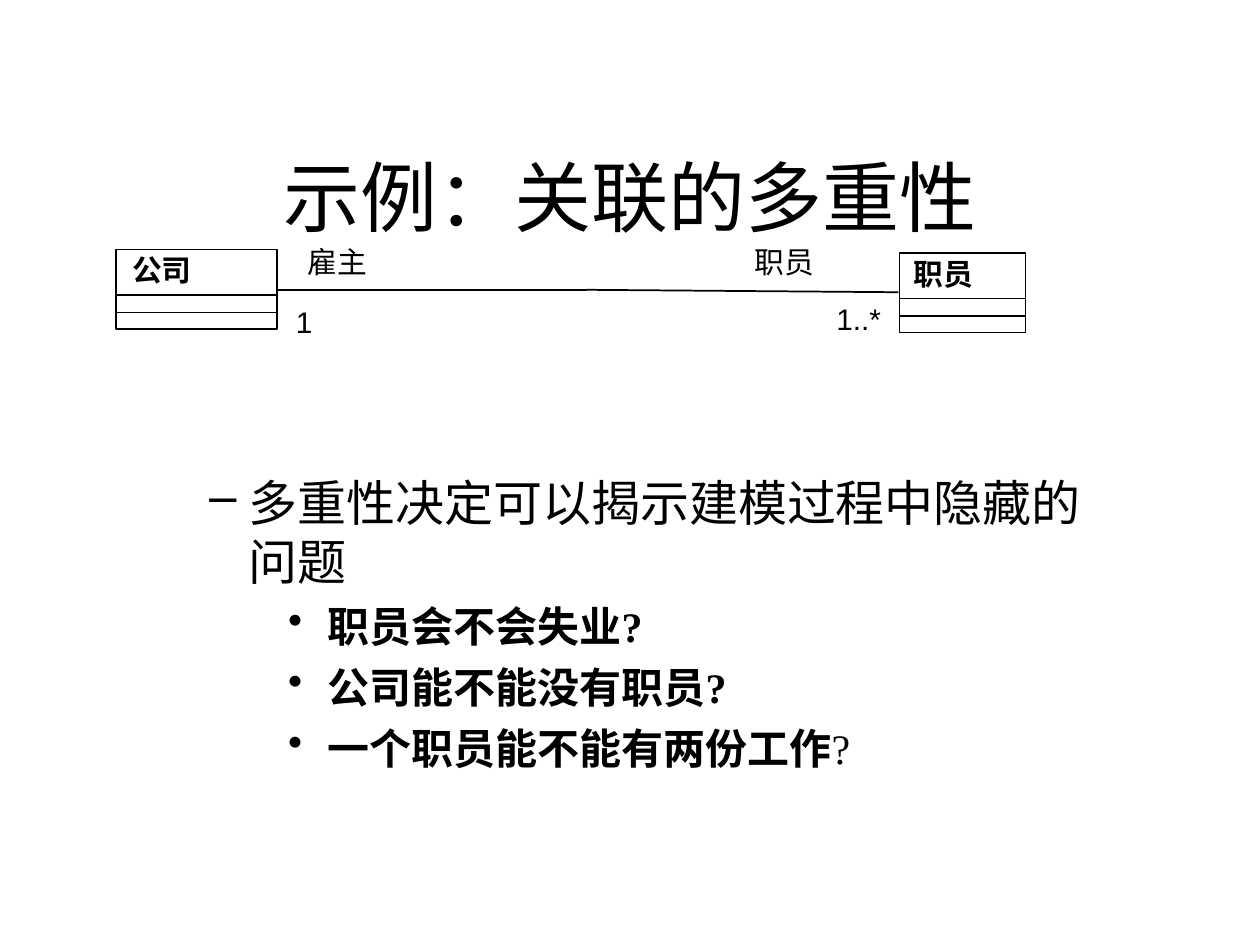
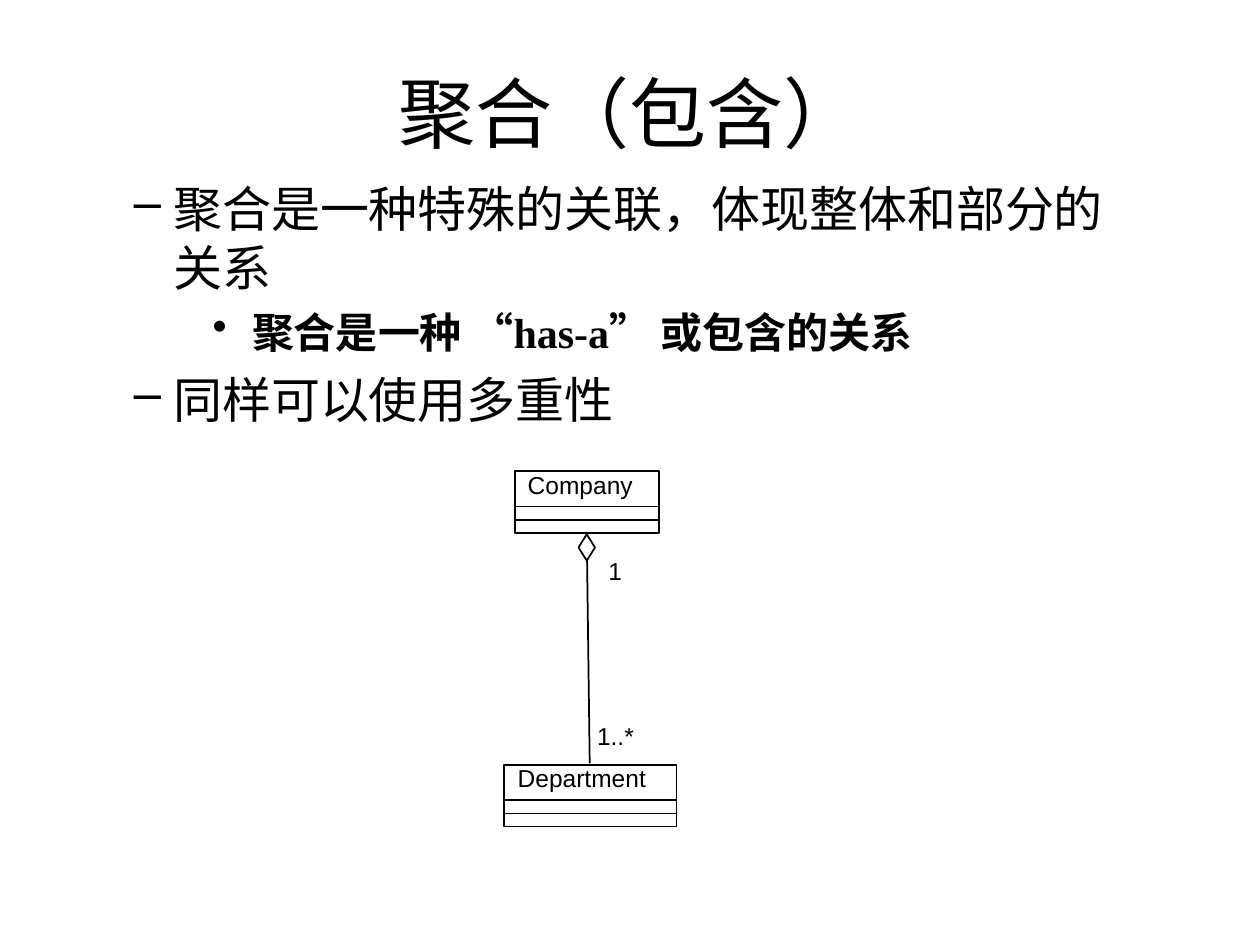
from dataclasses import dataclass

from lxml import etree
from pptx import Presentation
from pptx.dml.color import RGBColor
from pptx.enum.lang import MSO_LANGUAGE_ID as Language
from pptx.enum.shapes import MSO_CONNECTOR as Connector, MSO_SHAPE as Shape
from pptx.enum.text import MSO_ANCHOR as Anchor, MSO_AUTO_SIZE as AutoSize, PP_ALIGN as Align
from pptx.oxml.ns import qn
from pptx.util import Pt

BLACK = RGBColor(0, 0, 0)
WHITE = RGBColor(255, 255, 255)
BODY_FONT = "Times New Roman"
DIAGRAM_FONT = "Arial"
TITLE_SIZE = 44
INDENT = 22.5


@dataclass(frozen=True)
class Frame:
    left: float
    top: float
    width: float
    height: float

    def lengths(self) -> list:
        return [Pt(value) for value in (self.left, self.top, self.width, self.height)]


@dataclass(frozen=True)
class Level:
    bullet: str
    margin: float
    size: int
    space_before: float
    bold: bool


@dataclass(frozen=True)
class Bullet:
    level: int
    text: str
    plain_tail: str = ""


@dataclass(frozen=True)
class Label:
    text: str
    left: float
    top: float
    width: float
    bold: bool = False


@dataclass(frozen=True)
class ClassBox:
    frame: Frame
    name: Label


@dataclass(frozen=True)
class DiagramStyle:
    size: int
    dividers: tuple[float, float]  # distances below the top of a class box


LEVELS = {1: Level("–", 2 * INDENT, 28, 7, False), 2: Level("•", 4 * INDENT, 24, 6, True)}
LARGE = DiagramStyle(17, (25.9, 36))
SMALL = DiagramStyle(14, (20.2, 27.8))


def add_run(paragraph, text: str, font_name: str, size: int, bold: bool = False) -> None:
    run = paragraph.add_run()
    run.text = text
    font = run.font
    font.name, font.size, font.bold = font_name, Pt(size), bold
    font.color.rgb = BLACK
    font.language_id = Language.SIMPLIFIED_CHINESE


def add_text_frame(slide, frame: Frame, side_inset: float = 0, edge_inset: float = 0):
    text_frame = slide.shapes.add_textbox(*frame.lengths()).text_frame
    text_frame.margin_left = text_frame.margin_right = Pt(side_inset)
    text_frame.margin_top = text_frame.margin_bottom = Pt(edge_inset)
    text_frame.word_wrap = True
    return text_frame


def add_title(slide, text: str, frame: Frame) -> None:
    text_frame = add_text_frame(slide, frame)
    text_frame.vertical_anchor = Anchor.BOTTOM
    paragraph = text_frame.paragraphs[0]
    paragraph.alignment = Align.CENTER
    add_run(paragraph, text, BODY_FONT, TITLE_SIZE)


def set_bullet(paragraph, level: Level) -> None:
    properties = paragraph._p.get_or_add_pPr()
    properties.set("marL", str(Pt(level.margin)))
    properties.set("indent", str(-Pt(INDENT)))
    color = etree.SubElement(properties, qn("a:buClr"))
    etree.SubElement(color, qn("a:srgbClr"), val=str(BLACK))
    etree.SubElement(properties, qn("a:buChar"), char=level.bullet)


def add_bullets(slide, frame: Frame, bullets: list[Bullet]) -> None:
    text_frame = add_text_frame(slide, frame)
    for index, bullet in enumerate(bullets):
        level = LEVELS[bullet.level]
        paragraph = text_frame.add_paragraph() if index else text_frame.paragraphs[0]
        paragraph.level = bullet.level
        set_bullet(paragraph, level)
        paragraph.space_before = Pt(level.space_before if index else 0)
        add_run(paragraph, bullet.text, BODY_FONT, level.size, level.bold)
        if bullet.plain_tail:
            add_run(paragraph, bullet.plain_tail, BODY_FONT, level.size)


def add_label(slide, label: Label, style: DiagramStyle) -> None:
    frame = Frame(label.left, label.top, label.width, 1.2 * style.size + 7.2)
    text_frame = add_text_frame(slide, frame, 7.2, 3.6)
    text_frame.word_wrap = False
    text_frame.auto_size = AutoSize.SHAPE_TO_FIT_TEXT
    add_run(text_frame.paragraphs[0], label.text, DIAGRAM_FONT, style.size, label.bold)


def set_outline(shape) -> None:
    shape.line.color.rgb = BLACK
    shape.line.width = Pt(1)


def add_line(slide, *ends: float) -> None:
    line = slide.shapes.add_connector(Connector.STRAIGHT, *[Pt(end) for end in ends])
    set_outline(line)
    etree.SubElement(line._element.spPr, qn("a:effectLst"))


def add_class_box(slide, box: ClassBox, style: DiagramStyle) -> None:
    frame = box.frame
    rectangle = slide.shapes.add_shape(Shape.RECTANGLE, *frame.lengths())
    rectangle.shadow.inherit = False
    rectangle.fill.background()
    set_outline(rectangle)
    add_label(slide, box.name, style)
    for offset in style.dividers:
        y = frame.top + offset
        add_line(slide, frame.left - 0.5, y, frame.left + frame.width, y)


def add_diamond(slide, frame: Frame) -> None:
    center = frame.left + frame.width / 2
    middle = frame.top + frame.height / 2
    builder = slide.shapes.build_freeform(Pt(center), Pt(frame.top))
    corners = [(frame.left + frame.width, middle), (center, frame.top + frame.height),
               (frame.left, middle)]
    builder.add_line_segments([(Pt(x), Pt(y)) for x, y in corners], close=True)
    diamond = builder.convert_to_shape()
    diamond.shadow.inherit = False
    diamond.fill.solid()
    diamond.fill.fore_color.rgb = WHITE
    set_outline(diamond)


def add_diagram(slide, style: DiagramStyle, boxes: list[ClassBox],
                lines: list[tuple], labels: list[Label]) -> None:
    for box in boxes:
        add_class_box(slide, box, style)
    for line in lines:
        add_line(slide, *line)
    for label in labels:
        add_label(slide, label, style)


def build_multiplicity(slide) -> None:
    add_title(slide, "示例：关联的多重性", Frame(54, 48, 612, 90))
    add_bullets(slide, Frame(97.2, 270, 528.5, 218), [
        Bullet(1, "多重性决定可以揭示建模过程中隐藏的问题"),
        Bullet(2, "职员会不会失业?"),
        Bullet(2, "公司能不能没有职员?"),
        Bullet(2, "一个职员能不能有两份工作", "?"),
    ])
    # Employer and employee association
    add_diagram(
        slide, LARGE,
        [ClassBox(Frame(66.2, 142.6, 92.2, 45.4), Label("公司", 68.4, 140.4, 49, True)),
         ClassBox(Frame(514.1, 144.7, 72, 45.4), Label("职员", 514.8, 142.6, 49, True))],
        [(158.4, 165.6, 335.5, 165.6), (335.5, 165.6, 513.4, 167)],
        [Label("雇主", 168.5, 136, 49), Label("职员", 424, 136, 49),
         Label("1", 162, 170, 23.8), Label("1..*", 470.9, 168.5, 40.3)],
    )


def build_aggregation(slide) -> None:
    add_title(slide, "聚合（包含）", Frame(54, 30, 612, 60))
    add_bullets(slide, Frame(54, 102, 603, 142.5), [
        Bullet(1, "聚合是一种特殊的关联，体现整体和部分的关系"),
        Bullet(2, "聚合是一种 “has-a” 或包含的关系"),
        Bullet(1, "同样可以使用多重性"),
    ])
    # Company made of departments
    add_diagram(
        slide, SMALL,
        [ClassBox(Frame(294.5, 269.3, 82, 35.3), Label("Company", 294.5, 265, 75)),
         ClassBox(Frame(288, 437, 98.6, 35.3), Label("Department", 288.7, 432.7, 87.8))],
        [(335.3, 305.3, 337, 436.3)],
        [Label("1", 340.6, 313.9, 22.3), Label("1..*", 334.1, 408.2, 35.3)],
    )
    add_diamond(slide, Frame(330.6, 305.3, 9.4, 15.1))


def main() -> None:
    presentation = Presentation()
    presentation.slide_width, presentation.slide_height = Pt(720), Pt(540)
    blank_layout = presentation.slide_layouts[6]
    for build in (build_multiplicity, build_aggregation):
        build(presentation.slides.add_slide(blank_layout))
    presentation.save("out.pptx")


if __name__ == "__main__":
    main()
